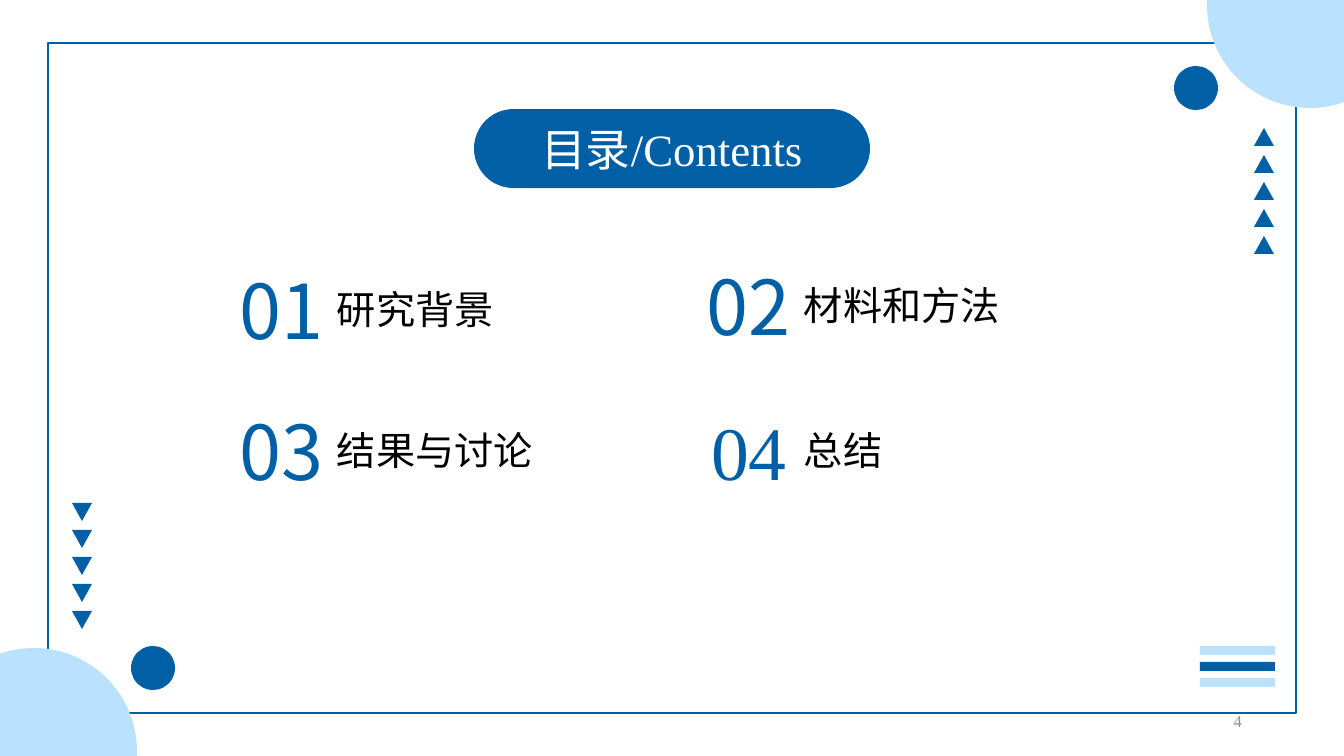
import math

from lxml import etree
from pptx import Presentation
from pptx.dml.color import RGBColor
from pptx.enum.shapes import MSO_SHAPE
from pptx.enum.text import MSO_ANCHOR, PP_ALIGN
from pptx.oxml.ns import qn
from pptx.util import Pt

WIDE, HIGH = 1344, 756
SCALE = 914400 / 100.8
BLUE, PALE, GREY = "005FA5", "BAE2FF", "8C8C8C"
SANS, SERIF = "Noto Sans CJK SC", "Times New Roman"
RECT, OVAL = MSO_SHAPE.RECTANGLE, MSO_SHAPE.OVAL
ROUND, WEDGE = MSO_SHAPE.ROUNDED_RECTANGLE, MSO_SHAPE.ISOSCELES_TRIANGLE
LEFT, MID, RIGHT = PP_ALIGN.LEFT, PP_ALIGN.CENTER, PP_ALIGN.RIGHT


def px(n):
    return round(n * SCALE)


def color(code):
    return RGBColor.from_string(code)


def paint(shape, fill=None, line=None):
    shape.shadow.inherit = False
    if fill:
        shape.fill.solid()
        shape.fill.fore_color.rgb = color(fill)
    else:
        shape.fill.background()
    if line:
        shape.line.color.rgb = color(line)
        shape.line.width = Pt(1)
    else:
        shape.line.fill.background()


def draw(slide, kind, box, fill=None, line=None):
    shape = slide.shapes.add_shape(kind, *map(px, box))
    paint(shape, fill, line)
    return shape


def write(shape, text, size, face, ink, align):
    frame = shape.text_frame
    frame.word_wrap = True
    frame.vertical_anchor = MSO_ANCHOR.MIDDLE
    para = frame.paragraphs[0]
    run = para.add_run()
    run.text = text
    para.alignment = align
    font = para.font
    font.size = Pt(size)
    font.name = face
    font.color.rgb = color(ink)
    # East Asian glyphs need their own typeface
    east = etree.SubElement(run.font._element, qn("a:ea"))
    east.set("typeface", SANS)


def label(slide, box, *style):
    write(slide.shapes.add_textbox(*map(px, box)), *style)


def corner(slide, flip):
    """Pale disc cut off by the slide's top right corner, or the opposite one."""
    x, y, r = 1310, 5, 103
    start = math.acos((WIDE - x) / r)
    end = math.pi + math.asin(y / r)
    turns = [start + (end - start) * i / 60 for i in range(61)]
    points = [(WIDE, 0)]
    points += [(x + r * math.cos(t), y + r * math.sin(t)) for t in turns]
    if flip:
        points = [(WIDE - a, HIGH - b) for a, b in points]
    points = [(px(a), px(b)) for a, b in points]
    path = slide.shapes.build_freeform(*points[0], scale=1.0)
    path.add_line_segments(points[1:], close=True)
    paint(path.convert_to_shape(), PALE)


def arrows(slide, left, top, turn):
    for i in range(5):
        draw(slide, WEDGE, (left, top + 27 * i, 20, 18), BLUE).rotation = turn


def bars(slide, left, top):
    for i, fill in enumerate((PALE, BLUE, PALE)):
        draw(slide, RECT, (left, top + 16 * i, 75, 9), fill)


def decor(slide):
    draw(slide, RECT, (48, 43, 1248, 670), line=BLUE)
    corner(slide, False)
    arrows(slide, 1254, 128, 0)
    corner(slide, True)
    arrows(slide, 72, 503, 180)
    for left, top in ((1174, 66), (131, 646)):
        draw(slide, OVAL, (left, top, 44, 44), BLUE)
    bars(slide, 1200, 646)


def title(slide, box):
    pill = draw(slide, ROUND, box, BLUE)
    pill.adjustments[0] = 0.5
    write(pill, "目录/Contents", 32, SERIF, "FFFFFF", MID)


def entry(slide, left, top, num, text, face=SANS):
    badge = draw(slide, ROUND, (left, top, 120, 74))
    write(badge, num, 54, face, BLUE, MID)
    label(slide, (left + 105, top + 8, 363, 57), text, 28, SANS, "000000", LEFT)


def main():
    deck = Presentation()
    deck.slide_width, deck.slide_height = px(WIDE), px(HIGH)
    slide = deck.slides.add_slide(deck.slide_layouts[6])
    decor(slide)
    title(slide, (474, 109, 396, 79))
    entry(slide, 222, 272, "01", "研究背景")
    entry(slide, 689, 268, "02", "材料和方法")
    entry(slide, 222, 413, "03", "结果与讨论")
    entry(slide, 689, 413, "04", "总结", SERIF)
    label(slide, (950, 701, 302, 40), "4", 12, SERIF, GREY, RIGHT)
    deck.save("out.pptx")


if __name__ == "__main__":
    main()
